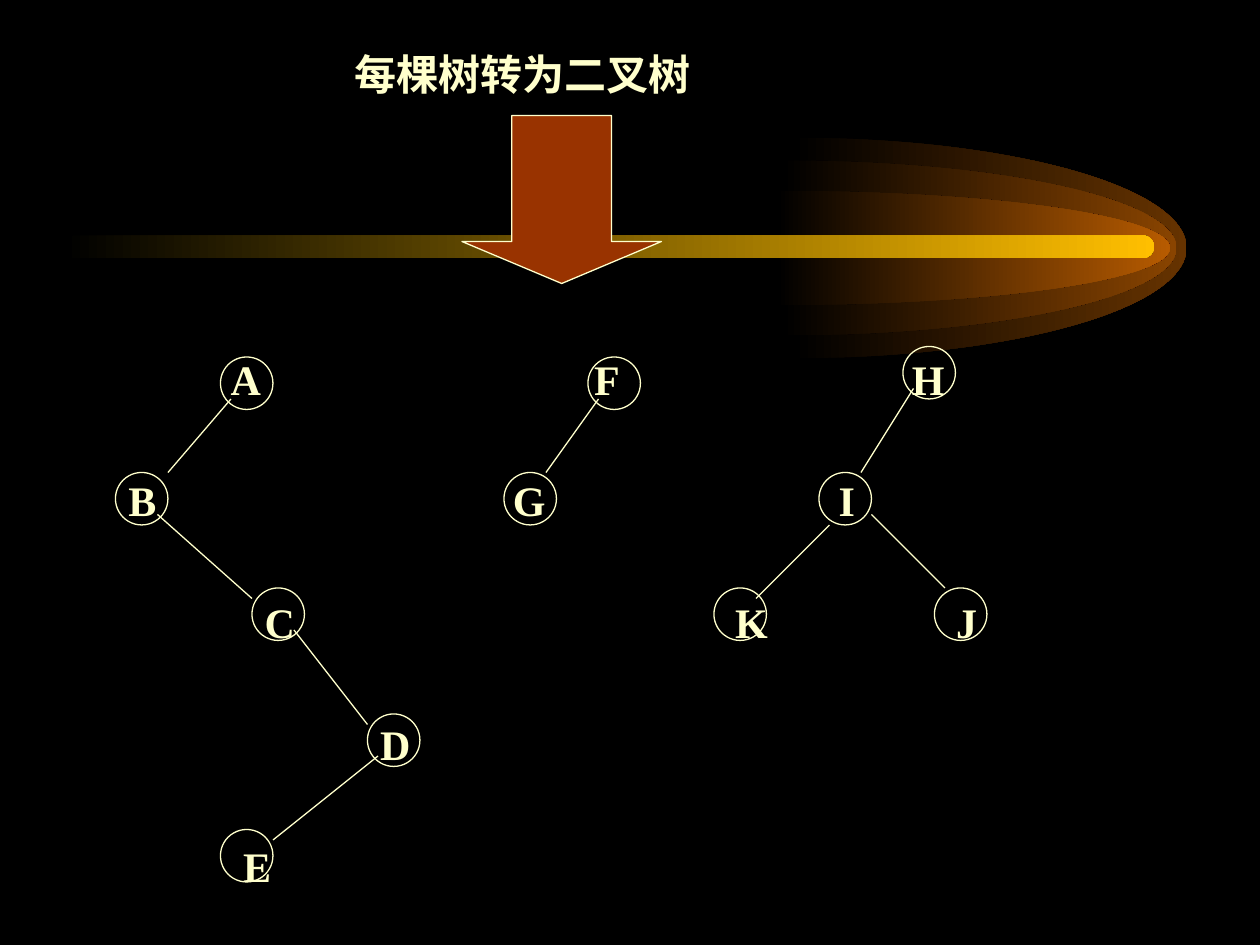
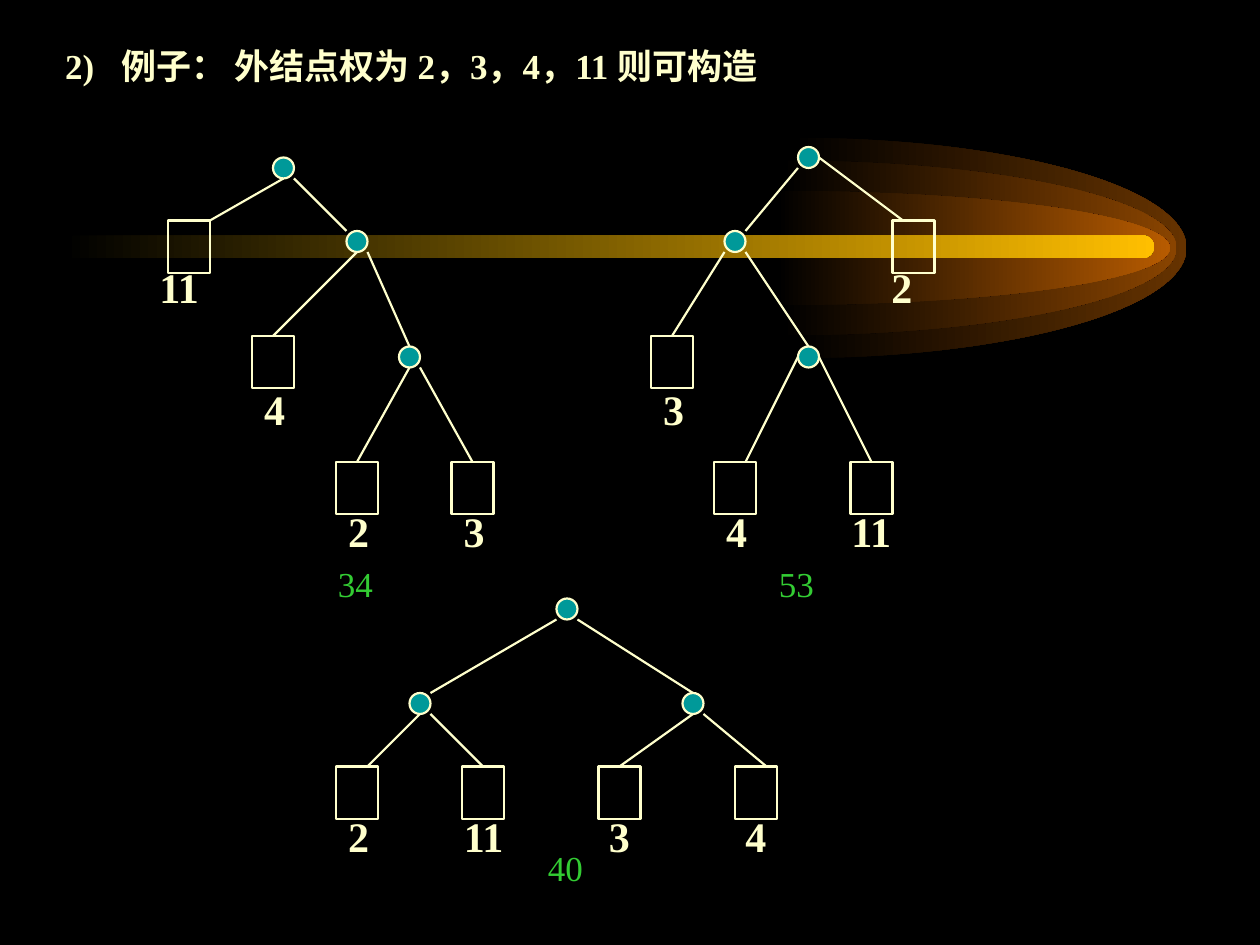
from lxml.etree import SubElement
from pptx import Presentation
from pptx.dml.color import RGBColor
from pptx.enum.shapes import MSO_CONNECTOR, MSO_SHAPE
from pptx.oxml.ns import qn
from pptx.util import Pt

BLACK = RGBColor(0x00, 0x00, 0x00)
CREAM = RGBColor(0xFF, 0xFF, 0xCC)
TEAL = RGBColor(0x00, 0x99, 0x99)
GREEN = RGBColor(0x33, 0xCC, 0x33)
RUST = RGBColor(0x99, 0x33, 0x00)
GOLD = RGBColor(0xFF, 0xBF, 0x00)
FONT = "Times New Roman"

COMET_Y = 141.7
# Left edge, half height and colour of each glow, from the outside in
GLOWS = [
    (453, 63, RGBColor(0x66, 0x33, 0x00)),
    (447.3, 50, RGBColor(0x89, 0x44, 0x00)),
    (443.6, 32.7, RGBColor(0xB7, 0x5B, 0x00)),
]
GLOW_LENGTH = 225

BODY_LEFT, BODY_WIDTH = 18, 684
INSET = 7.2
LINE_HEIGHT = 28.86
LINE_PITCH = LINE_HEIGHT + 6

LETTER_NODE = 30
INNER_NODE = 12
LEAF_WIDTH, LEAF_HEIGHT = 24, 30


def gap(lines):
    """Space before a row that stands this many lines below the last."""
    return round(lines * LINE_PITCH - LINE_HEIGHT, 2)


# Each row: space before, size, tab alignment, (text, x on the slide) pairs
FOREST_ROWS = [
    (0, 24, "l", [("每棵树转为二叉树", 202.5)]),
    (gap(5), 24, "ctr", [("A", 140.5), ("F", 347), ("H", 530.5)]),
    (gap(2), 24, "ctr", [("B", 81.5), ("G", 302.5), ("I", 484)]),
    (gap(2), 24, "ctr", [("C", 160), ("K", 429.5), ("J", 552.5)]),
    (gap(2), 24, "ctr", [("D", 226)]),
    (gap(2), 24, "ctr", [("E", 147)]),
]
WEIGHT_ROWS = [
    (0, 20, "l",
     [("2)", 37.3), ("例子： 外结点权为 2，3，4，11 则可构造", 69.3)]),
    (100, 24, "ctr", [("11", 102.5), ("2", 515.5)]),
    (gap(2), 24, "ctr", [("4", 157), ("3", 385)]),
    (gap(2), 24, "ctr", [("2", 205), ("3", 271), ("4", 421), ("11", 498)]),
    (gap(5), 24, "ctr", [("2", 205), ("11", 276.5), ("3", 354), ("4", 432)]),
]

LETTER_NODES = [
    (126, 204), (336, 204), (516, 198), (288, 270), (468, 270), (66, 270),
    (144, 336), (408, 336), (534, 336), (210, 408), (126, 474),
]
LETTER_EDGES = [
    (132, 228, 96, 270), (90, 294, 144, 342), (168, 360, 210, 414),
    (216, 432, 156, 480), (342, 228, 312, 270), (522, 222, 492, 270),
    (474, 300, 432, 342), (498, 294, 540, 336),
]

# Each weighted tree: path length with its box, inner nodes, leaves, edges
WEIGHTED_TREES = [
    {
        "sum": ("34", 186, 318, 48),
        "inner": [(156, 90), (198, 132), (228, 198)],
        "leaves": [(96, 126), (144, 192), (192, 264), (258, 264)],
        "edges": [
            (162, 102, 120, 126), (168, 102, 198, 132), (210, 144, 234, 198),
            (204, 144, 156, 192), (234, 210, 204, 264), (240, 210, 270, 264),
        ],
    },
    {
        "sum": ("53", 438, 318, 60),
        "inner": [(456, 84), (414, 132), (456, 198)],
        "leaves": [(510, 126), (372, 192), (408, 264), (486, 264)],
        "edges": [
            (456, 96, 426, 132), (414, 144, 384, 192), (468, 90, 516, 126),
            (426, 144, 462, 198), (456, 204, 426, 264), (468, 204, 498, 264),
        ],
    },
    {
        "sum": ("40", 306, 480, 54),
        "inner": [(318, 342), (234, 396), (390, 396)],
        "leaves": [(192, 438), (264, 438), (342, 438), (420, 438)],
        "edges": [
            (240, 408, 210, 438), (246, 408, 276, 438), (246, 396, 318, 354),
            (330, 354, 396, 396), (396, 408, 354, 438), (402, 408, 438, 438),
        ],
    },
]


def fade_in(shape, color):
    """Fill from black at the left to color at the right, with no outline."""
    shape.shadow.inherit = False
    shape.line.fill.background()
    shape.fill.gradient()
    shape.fill.gradient_angle = 0
    for stop, position, stop_color in zip(
        shape.fill.gradient_stops, (0, 1), (BLACK, color)
    ):
        stop.position = position
        stop.color.rgb = stop_color


def add_glow(slide, left, half_height, color):
    """Add the right half of an ellipse."""
    top, bottom = Pt(COMET_Y - half_height), Pt(COMET_Y + half_height)
    tip = Pt(left + GLOW_LENGTH), Pt(COMET_Y)
    outline = slide.shapes.build_freeform(Pt(left), top)
    outline.add_line_segments([tip, (Pt(left), bottom)], close=True)
    glow = outline.convert_to_shape()
    to_tip, to_bottom = glow._element.findall(".//" + qn("a:lnTo"))
    contour = to_tip.getparent()
    contour.remove(to_bottom)
    contour.remove(to_tip)
    arc = SubElement(contour, qn("a:arcTo"))
    arc.set("wR", str(Pt(GLOW_LENGTH)))
    arc.set("hR", str(Pt(half_height)))
    arc.set("stAng", str(270 * 60000))
    arc.set("swAng", str(180 * 60000))
    contour.append(contour.find(qn("a:close")))
    fade_in(glow, color)


def add_comet(slide):
    for left, half_height, color in GLOWS:
        add_glow(slide, left, half_height, color)
    tail = slide.shapes.add_shape(
        MSO_SHAPE.ROUNDED_RECTANGLE, Pt(36), Pt(134.5), Pt(623.5), Pt(13)
    )
    tail.adjustments[0] = 0.5
    fade_in(tail, GOLD)


def add_frame(slide, left, top, width, height):
    box = slide.shapes.add_textbox(Pt(left), Pt(top), Pt(width), Pt(height))
    frame = box.text_frame
    frame.word_wrap = True
    return frame


def add_run(paragraph, text, size, color, bold):
    run = paragraph.add_run()
    run.text = text
    run.font.name = FONT
    run.font.size = Pt(size)
    run.font.bold = bold
    run.font.color.rgb = color


def add_rows(slide, rows, top, height, margin_top):
    """Add the slide's text, each item at its own tab stop."""
    frame = add_frame(slide, BODY_LEFT, top, BODY_WIDTH, height)
    frame.margin_top = Pt(margin_top)
    for index, (space, size, alignment, items) in enumerate(rows):
        row = frame.add_paragraph() if index else frame.paragraphs[0]
        stops = SubElement(row._p.get_or_add_pPr(), qn("a:tabLst"))
        for text, x in items:
            stop = SubElement(stops, qn("a:tab"))
            stop.set("pos", str(Pt(x - BODY_LEFT - INSET)))
            stop.set("algn", alignment)
        if index:
            row.space_before = Pt(space)
        for text, x in items:
            add_run(row, "\t" + text, size, CREAM, True)


def add_figure(slide, preset, left, top, width, height, weight, fill=None):
    figure = slide.shapes.add_shape(
        preset, Pt(left), Pt(top), Pt(width), Pt(height)
    )
    figure.shadow.inherit = False
    figure.line.color.rgb = CREAM
    figure.line.width = Pt(weight)
    if fill is None:
        figure.fill.background()
    else:
        figure.fill.solid()
        figure.fill.fore_color.rgb = fill
    return figure


def add_edges(slide, edges, weight):
    for edge in edges:
        branch = slide.shapes.add_connector(
            MSO_CONNECTOR.STRAIGHT, *[Pt(value) for value in edge]
        )
        branch.line.color.rgb = CREAM
        branch.line.width = Pt(weight)
        SubElement(branch._element.spPr, qn("a:effectLst"))


def add_weighted_tree(slide, tree):
    for left, top in tree["inner"]:
        add_figure(slide, MSO_SHAPE.OVAL, left, top,
                   INNER_NODE, INNER_NODE, 1.25, TEAL)
    for left, top in tree["leaves"]:
        add_figure(slide, MSO_SHAPE.RECTANGLE, left, top,
                   LEAF_WIDTH, LEAF_HEIGHT, 1.25)
    add_edges(slide, tree["edges"], 1.25)
    path_length, left, top, width = tree["sum"]
    frame = add_frame(slide, left, top, width, 31.5)
    add_run(frame.paragraphs[0], path_length, 20, GREEN, False)


def add_slide(deck):
    slide = deck.slides.add_slide(deck.slide_layouts[6])
    add_comet(slide)
    return slide


def add_forest_slide(deck):
    slide = add_slide(deck)
    add_rows(slide, FOREST_ROWS, top=24, height=498, margin_top=3.6)
    for left, top in LETTER_NODES:
        add_figure(slide, MSO_SHAPE.OVAL, left, top,
                   LETTER_NODE, LETTER_NODE, 0.75)
    add_edges(slide, LETTER_EDGES, 0.75)
    arrow = add_figure(slide, MSO_SHAPE.DOWN_ARROW, 264, 66, 114, 96, 0.75, RUST)
    arrow.adjustments[0] = 0.5
    arrow.adjustments[1] = 0.25


def add_weights_slide(deck):
    slide = add_slide(deck)
    add_rows(slide, WEIGHT_ROWS, top=18, height=504, margin_top=7.4)
    for tree in WEIGHTED_TREES:
        add_weighted_tree(slide, tree)


def main():
    deck = Presentation()
    deck.slide_width, deck.slide_height = Pt(720), Pt(540)
    backdrop = deck.slide_master.background.fill
    backdrop.solid()
    backdrop.fore_color.rgb = BLACK
    add_forest_slide(deck)
    add_weights_slide(deck)
    deck.save("out.pptx")


if __name__ == "__main__":
    main()
